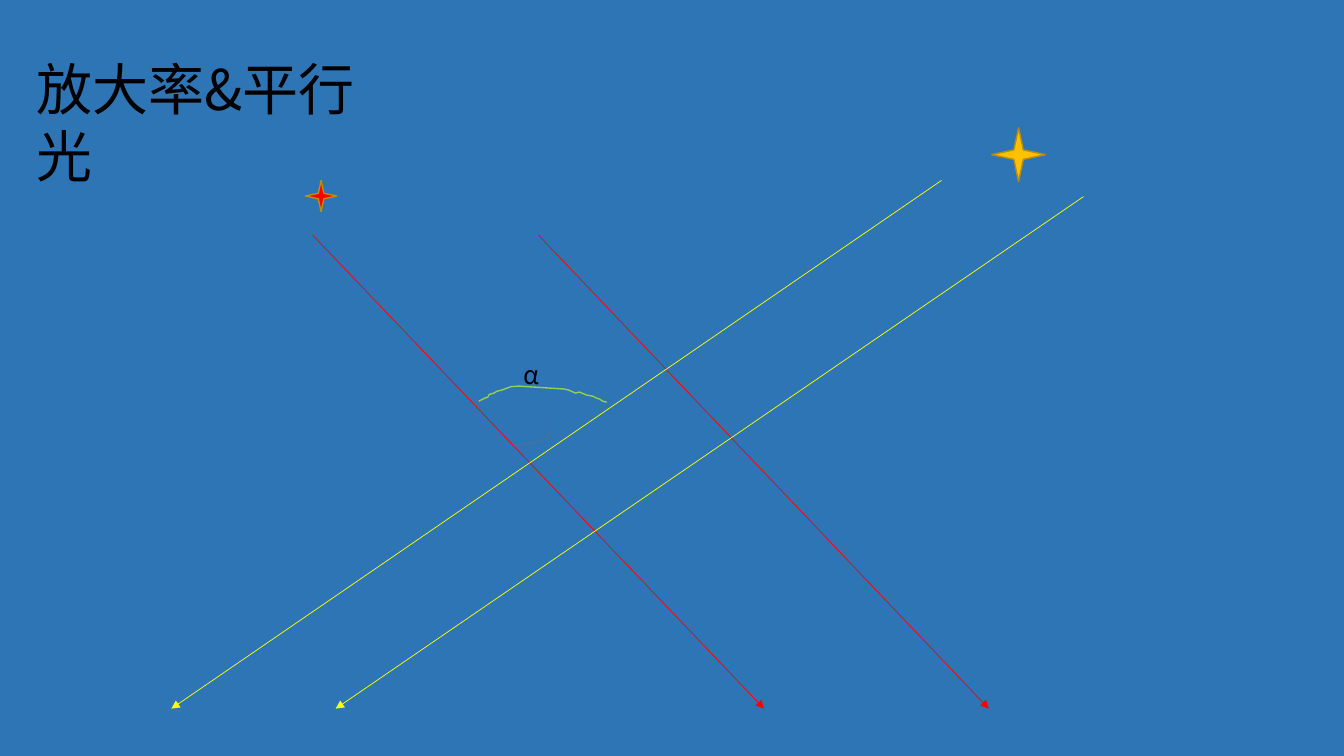
from pptx import Presentation
from pptx import util as u
from pptx.dml.color import RGBColor
from pptx.enum import shapes, text
from pptx.oxml.ns import qn
from lxml import etree

FONT = "Noto Sans CJK SC"
BLACK, RED, YELLOW, GOLD = "000000", "FF0000", "FFFF00", "FFC000"
BACKDROP, STAR_EDGE, GREEN, DARK_BLUE = "2E75B6", "BD8E00", "92D050", "43739E"

RAY_END = 506.2
RAYS = [  # start x, start y, end x, colour
    (223.2, 167.8, 545.8, RED),
    (384.5, 167.8, 706.3, RED),
    (672.5, 128.9, 122.4, YELLOW),
    (774, 140.4, 239.8, YELLOW),
]
ANGLE_ARC = [
    (342, 286.6), (346.3, 284.4), (348.5, 283.7), (349.5, 281.8),
    (352.8, 280.8), (355, 279.5), (358.6, 278.6), (365, 276.2),
    (370.8, 275.8), (403.2, 277.9), (406.1, 278.6), (411.1, 280.8),
    (414, 280.1), (419, 282.2), (423.4, 283), (426.2, 284.4),
    (428.4, 285.1), (430.6, 286.6), (433.4, 287.3),
]
LOWER_ARC = [
    (367.2, 318.2), (379.3, 316.8), (390.2, 313.2), (392, 311.5), (392.4, 308.2),
]


def colour(value):
    return RGBColor.from_string(value)


def style_line(line, value, width):
    line.color.rgb = colour(value)
    line.width = u.Pt(width)


def write(box, words, size, wrap):
    frame = box.text_frame
    frame.word_wrap = wrap
    frame.auto_size = text.MSO_AUTO_SIZE.NONE
    frame.vertical_anchor = text.MSO_ANCHOR.TOP
    para = frame.paragraphs[0]
    para.alignment = text.PP_ALIGN.LEFT
    span = para.add_run()
    span.text = words
    span.font.size = u.Pt(size)
    span.font.name = FONT
    span.font.color.rgb = colour(BLACK)
    east_asian = etree.SubElement(span.font._element, qn("a:ea"))
    east_asian.set("typeface", FONT)
    return para


def add_title(page, words):
    box = page.shapes.title
    box.left, box.top, box.width, box.height = map(u.Pt, (18.7, 35.3, 277.2, 55.4))
    para = write(box, words, 40, True)
    para.line_spacing = u.Pt(48)


def add_label(page, words, left, top, width, height):
    box = page.shapes.add_textbox(*map(u.Pt, (left, top, width, height)))
    write(box, words, 18, False)


def add_star(page, left, top, size, value):
    star = page.shapes.add_shape(
        shapes.MSO_SHAPE.STAR_4_POINT, *map(u.Pt, (left, top, size, size)))
    star.shadow.inherit = False
    star.fill.solid()
    star.fill.fore_color.rgb = colour(value)
    style_line(star.line, STAR_EDGE, 1)


def add_ray(page, start_x, start_y, end_x, value):
    ray = page.shapes.add_connector(
        shapes.MSO_CONNECTOR.STRAIGHT,
        *map(u.Pt, (start_x, start_y, end_x, RAY_END)))
    style_line(ray.line, value, 0.5)
    etree.SubElement(ray.line._get_or_add_ln(), qn("a:tailEnd")).set("type", "triangle")
    etree.SubElement(ray._element.spPr, qn("a:effectLst"))


def add_curve(page, points, value):
    corners = [(u.Pt(x), u.Pt(y)) for x, y in points]
    builder = page.shapes.build_freeform(*corners[0])
    builder.add_line_segments(corners[1:], close=False)
    curve = builder.convert_to_shape()
    curve.shadow.inherit = False
    curve.fill.background()
    style_line(curve.line, value, 1)


def main():
    deck = Presentation()
    deck.slide_width, deck.slide_height = u.Pt(960), u.Pt(540)
    page = deck.slides.add_slide(deck.slide_layouts.get_by_name("Title Only"))
    page.background.fill.solid()
    page.background.fill.fore_color.rgb = colour(BACKDROP)

    add_title(page, "放大率&平行光")

    # Two stars and their parallel rays
    add_star(page, 708.5, 91.4, 38.2, GOLD)
    add_star(page, 218.2, 128.9, 22.3, RED)
    for ray in RAYS:
        add_ray(page, *ray)

    # Angle between the rays
    add_curve(page, LOWER_ARC, DARK_BLUE)
    add_curve(page, ANGLE_ARC, GREEN)
    add_label(page, "α", 367.2, 253.4, 25.2, 28.8)

    deck.save("out.pptx")


if __name__ == "__main__":
    main()
